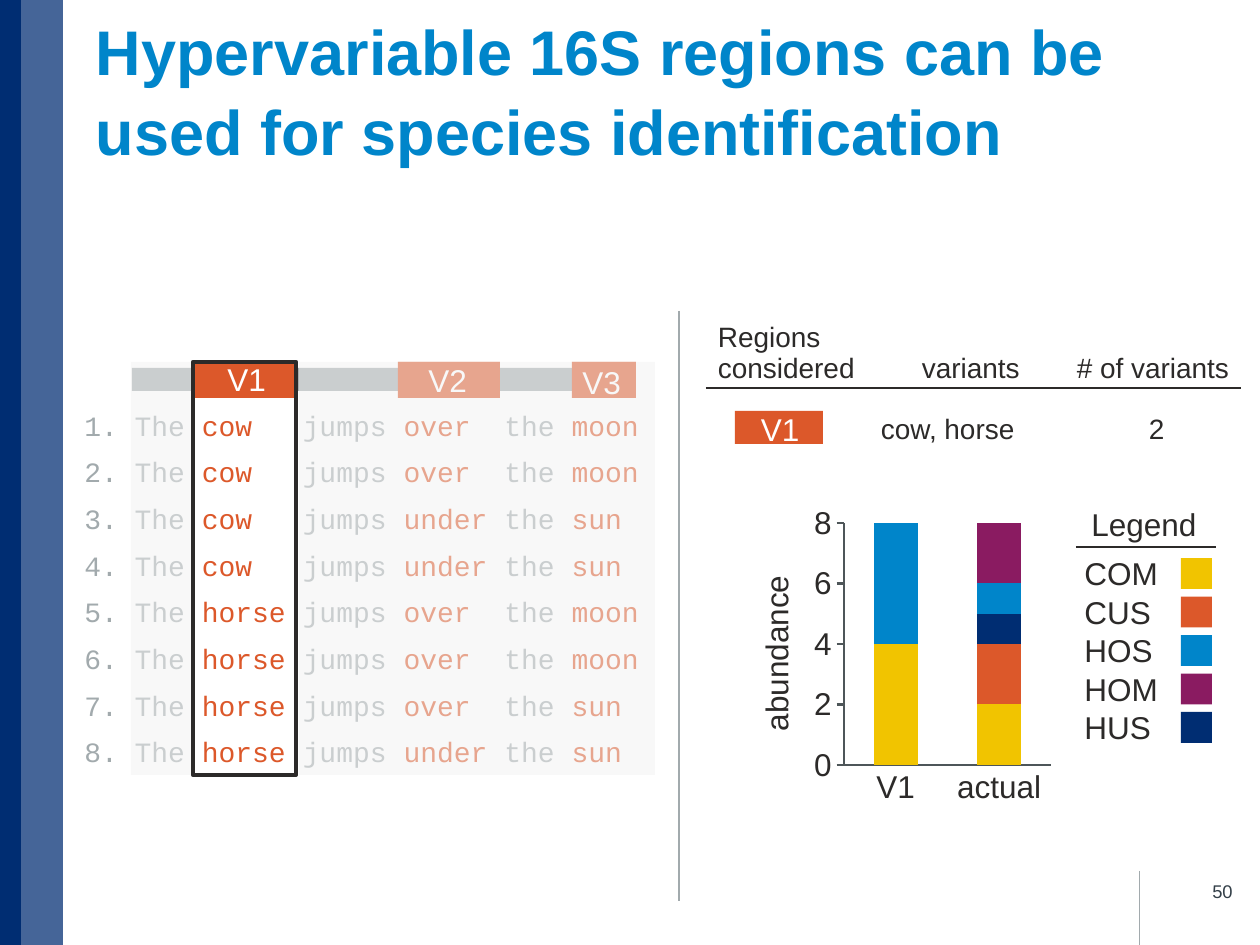
"""Build the slide on hypervariable 16S regions and species identification."""
from lxml import etree
from pptx import Presentation
from pptx.chart.data import CategoryChartData
from pptx.dml.color import RGBColor
from pptx.enum.chart import XL_CHART_TYPE, XL_TICK_MARK
from pptx.enum.shapes import MSO_CONNECTOR, MSO_SHAPE
from pptx.enum.text import MSO_ANCHOR, MSO_AUTO_SIZE, PP_ALIGN
from pptx.oxml import parse_xml
from pptx.oxml.ns import nsdecls, qn
from pptx.util import Emu, Pt

TITLE = "Hypervariable 16S regions can be used for species identification"
NAVY, BLUE, ORANGE, YELLOW, PLUM = "002D72", "0085CA", "DC582A", "F1C400", "8A1B61"
GREY, INK, AXIS, PALE, WHITE = "A2AAAD", "2C2A29", "4E5659", "F2F2F2", "FFFFFF"

SENTENCES = [
    ("cow", "over", "moon"), ("cow", "over", "moon"),
    ("cow", "under", "sun"), ("cow", "under", "sun"),
    ("horse", "over", "moon"), ("horse", "over", "moon"),
    ("horse", "over", "sun"), ("horse", "under", "sun"),
]
WORD_COLUMNS = [7, 13, 19, 25, 29]
CHAR_W = 16.8
REGIONS = [("V1", 193, 103, 215, 354), ("V2", 398, 102, 416, 355), ("V3", 572, 64, 570, 357)]
PANELS = [(299, 356), (131, 63)]

COLUMNS = [163, 189, 183]
ROWS = [77, 80]
CELLS = [
    [("Regions\nconsidered", 12, 16, INK), ("variants", 53, 16, INK), ("# of variants", 19, 16, INK)],
    [("V1", 55, 18, WHITE), ("cow, horse", 12, 16, INK), ("2", 91, 16, INK)],
]

BARS = ("V1", "actual")
SERIES = [
    ("COM", (4, 2), YELLOW), ("CUS", (0, 2), ORANGE), ("HUS", (0, 1), NAVY),
    ("HOS", (4, 1), BLUE), ("HOM", (0, 2), PLUM),
]
LEGEND = ["COM", "CUS", "HOS", "HOM", "HUS"]
CHART = (740, 500, 320, 330)
RULES = [(679, 311, 679, 901, GREY, 0.75), (706, 388, 1241, 388, INK, 1.5),
         (1076, 547, 1216, 547, INK, 0.75), (1139, 871, 1139, 945, GREY, 0.25)]


def px(n):
    return Emu(round(n * 914400 / 126))


def rgb(color):
    return RGBColor.from_string(color)


def style(font, size, color, name="Arial", bold=False):
    font.size, font.name, font.bold = Pt(size), name, bold
    font.color.rgb = rgb(color)


def add_text(x, y, w, h, text, size=18, color=INK, align=PP_ALIGN.LEFT, font="Arial",
             wrap=False, anchor=MSO_ANCHOR.TOP, tabs=()):
    """Add a text box; text is a string or a list of (text, color) runs."""
    tf = slide.shapes.add_textbox(px(x), px(y), px(w), px(h)).text_frame
    tf.word_wrap, tf.vertical_anchor = wrap, anchor
    p = tf.paragraphs[0]
    p.alignment = align
    if tabs:
        tab_list = etree.SubElement(p._p.get_or_add_pPr(), qn("a:tabLst"))
        for pos in tabs:
            etree.SubElement(tab_list, qn("a:tab"), pos=str(px(pos)), algn="l")
    for part, part_color in [(text, color)] if isinstance(text, str) else text:
        r = p.add_run()
        r.text = part
        style(r.font, size, part_color, font)


def add_rect(x, y, w, h, fill=None, alpha=None, line=None):
    sp = slide.shapes.add_shape(MSO_SHAPE.RECTANGLE, px(x), px(y), px(w), px(h))
    sp.shadow.inherit = False
    if fill:
        sp.fill.solid()
        sp.fill.fore_color.rgb = rgb(fill)
    else:
        sp.fill.background()
    if alpha:
        clr = sp.fill._xPr.find(".//" + qn("a:srgbClr"))
        etree.SubElement(clr, qn("a:alpha"), val=str(alpha * 1000))
    if line:
        sp.line.color.rgb, sp.line.width = rgb(line), Pt(2.5)
    else:
        sp.line.fill.background()


def add_rule(x1, y1, x2, y2, color, width):
    ln = slide.shapes.add_connector(MSO_CONNECTOR.STRAIGHT, px(x1), px(y1), px(x2), px(y2))
    ln.line.color.rgb, ln.line.width = rgb(color), Pt(width)
    etree.SubElement(ln._element.spPr, qn("a:effectLst"))


def layout_xml(x, y, w=None, h=None):
    """Return a manual chart layout for a place given in slide px."""
    left, top, width, height = CHART
    inner = '<c:layoutTarget val="inner"/>' if w else ""
    size = f'<c:w val="{w / width:.4f}"/><c:h val="{h / height:.4f}"/>' if w else ""
    return parse_xml(
        f'<c:layout {nsdecls("c")}><c:manualLayout>{inner}<c:xMode val="edge"/><c:yMode val="edge"/>'
        f'<c:x val="{(x - left) / width:.4f}"/><c:y val="{(y - top) / height:.4f}"/>{size}'
        "</c:manualLayout></c:layout>")


def set_layout(parent, layout, index):
    for old in parent.findall(qn("c:layout")):
        parent.remove(old)
    parent.insert(index, layout)


def add_sentences():
    tabs = [n * CHAR_W for n in WORD_COLUMNS]
    for i, (animal, place, thing) in enumerate(SENTENCES):
        runs = [(f"{i + 1}. The\t", GREY), (f"{animal}\t", ORANGE), ("jumps\t", GREY),
                (f"{place}\t", ORANGE), ("the\t", GREY), (thing, ORANGE)]
        add_text(72, 402 + i * 140 / 3, 600, 47, runs, size=16, font="Courier New",
                 wrap=True, tabs=tabs)
    add_rect(132, 368, 503, 23, GREY)
    for name, x, w, text_x, text_y in REGIONS:
        add_rect(x, 362, w, 36, ORANGE)
        add_text(text_x, text_y, 64, 50, name, color=WHITE)
    for x, w in PANELS:
        add_rect(x, 362, w, 413, PALE, alpha=50)
    add_rect(193, 362, 103, 413, line=INK)


def add_variants():
    add_rect(735, 411, 88, 33, ORANGE)
    tbl = slide.shapes.add_table(2, 3, px(706), px(311), px(sum(COLUMNS)), px(sum(ROWS))).table
    tbl.first_row = tbl.horz_banding = False
    tbl._tbl.tblPr.find(qn("a:tableStyleId")).text = "{2D5ABB26-0587-4C30-8999-92F81FD0307C}"
    for col, w in zip(tbl.columns, COLUMNS):
        col.width = px(w)
    for i, cells in enumerate(CELLS):
        tbl.rows[i].height = px(ROWS[i])
        for j, (text, indent, size, color) in enumerate(cells):
            cell = tbl.cell(i, j)
            cell.fill.background()
            cell.text = text
            cell.margin_left, cell.margin_right = px(indent), 0
            cell.margin_top = cell.margin_bottom = px(6)
            cell.vertical_anchor = MSO_ANCHOR.MIDDLE if i else MSO_ANCHOR.BOTTOM
            for p in cell.text_frame.paragraphs:
                style(p.font, size, color)


def add_abundance():
    data = CategoryChartData()
    data.categories = BARS
    for name, values, _ in SERIES:
        data.add_series(name, values)
    chart = slide.shapes.add_chart(XL_CHART_TYPE.COLUMN_STACKED, *map(px, CHART), data).chart
    chart.has_legend = chart.has_title = False
    style(chart.font, 18, INK)
    plot = chart.plots[0]
    plot.gap_width, plot.overlap, plot.vary_by_categories = 134, 100, False
    for ser, (_, _, color) in zip(plot.series, SERIES):
        ser.format.fill.solid()
        ser.format.fill.fore_color.rgb = rgb(color)
    cat, val = chart.category_axis, chart.value_axis
    for axis in (cat, val):
        axis.format.line.color.rgb, axis.format.line.width = rgb(AXIS), Pt(1.5)
        axis.has_major_gridlines = False
    cat.major_tick_mark, val.major_tick_mark = XL_TICK_MARK.NONE, XL_TICK_MARK.OUTSIDE
    val.minimum_scale, val.maximum_scale, val.major_unit = 0, 8, 2
    tf = val.axis_title.text_frame
    tf.text = "abundance"
    style(tf.paragraphs[0].runs[0].font, 18, INK)
    set_layout(val.axis_title._element, layout_xml(750, 570), 1)
    set_layout(chart._chartSpace.chart.plotArea, layout_xml(844, 523, 207, 242), 0)


def add_legend():
    colors = {name: color for name, _, color in SERIES}
    add_text(1079, 499, 131, 50, "Legend")
    for i, name in enumerate(LEGEND):
        y = 548 + i * 38.5
        add_text(1072, y, 100, 50, name)
        add_rect(1181, y + 10, 31, 31, colors[name])


prs = Presentation()
prs.slide_width, prs.slide_height = px(1260), px(945)
slide = prs.slides.add_slide(prs.slide_layouts[5])

title = slide.shapes.title
title.left, title.top, title.width, title.height = map(px, (96, 16, 1130, 158))
tf = title.text_frame
tf.text = TITLE
tf.auto_size, tf.word_wrap, tf.vertical_anchor = MSO_AUTO_SIZE.NONE, True, MSO_ANCHOR.BOTTOM
tf.margin_left = 0
tf.paragraphs[0].alignment = PP_ALIGN.LEFT
tf.paragraphs[0].line_spacing = 1.05
style(tf.paragraphs[0].runs[0].font, 36, BLUE, bold=True)

add_rect(0, 0, 21, 945, NAVY)
add_rect(21, 0, 42, 945, NAVY, alpha=73)
add_sentences()
add_variants()
add_abundance()
add_legend()
for rule in RULES:
    add_rule(*rule)
add_text(951, 866, 294, 50, "50", size=10.5, color="333F48", align=PP_ALIGN.RIGHT,
         wrap=True, anchor=MSO_ANCHOR.MIDDLE)
prs.save("out.pptx")
